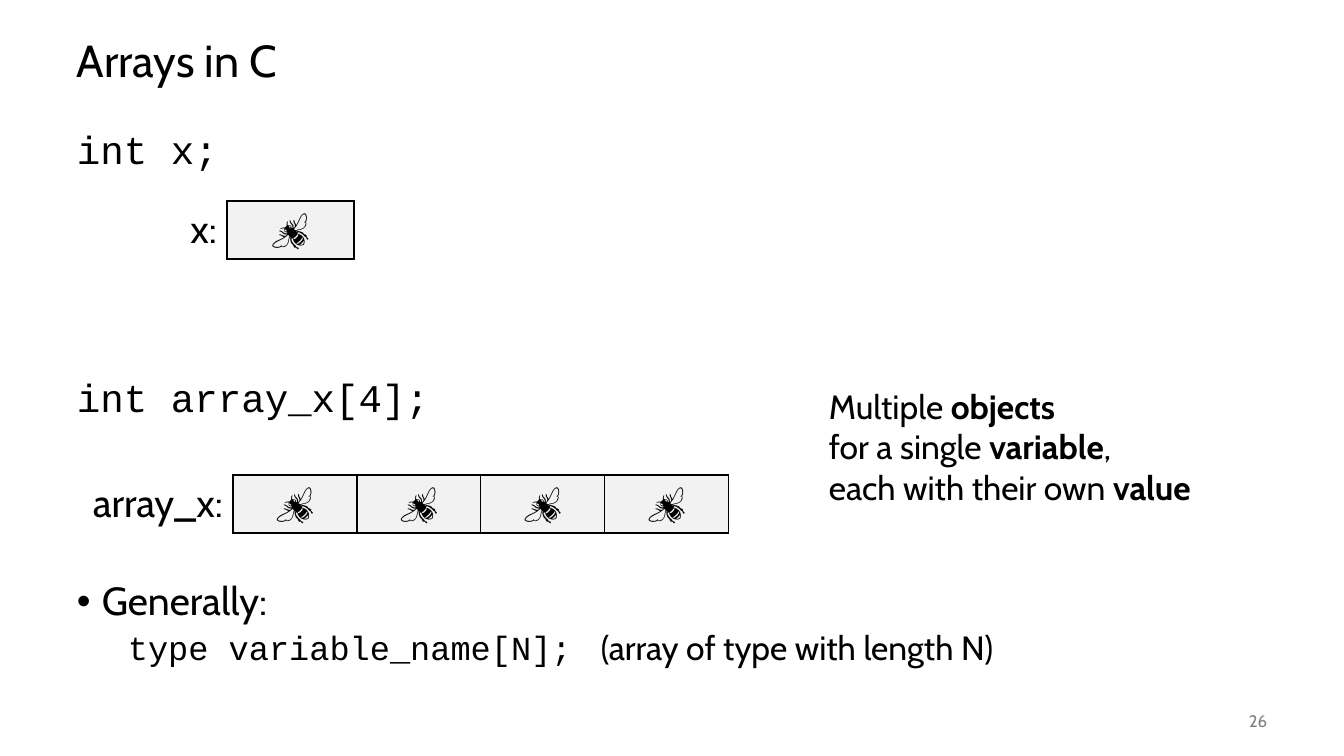
from pptx import Presentation
from pptx.dml.color import RGBColor
from pptx.enum.text import MSO_ANCHOR, PP_ALIGN
from pptx.oxml.ns import qn
from pptx.util import Pt
from lxml.etree import SubElement

COLORS = {"ink": "000000", "cell": "F2F2F2", "page": "808080"}
SANS, MONO = "Cabin", "Courier New"
BEE = "🐝"
PLAIN = "{2D5ABB26-0587-4C30-8999-92F81FD0307C}"

TEXTS = [
    {"box": (67, 25, 1210, 76), "size": 32, "lines": [[("Arrays in C", SANS, False)]],
     "space": 0.9, "anchor": MSO_ANCHOR.MIDDLE},
    {"box": (67, 126, 1210, 52), "size": 28, "lines": [[("int x;", MONO, False)]], "space": 0.9},
    {"box": (67, 374, 740, 52), "size": 28, "lines": [[("int array_x[4];", MONO, False)]],
     "space": 0.9},
    {"box": (67, 577, 1210, 52), "size": 28, "lines": [[("Generally:", SANS, False)]],
     "space": 0.9, "bullet": 25},
    {"box": (118, 627, 1159, 48), "size": 24, "space": 0.9, "tab": 473,
     "lines": [[("type variable_name[N];", MONO, False),
                ("\t(array of type with length N)", SANS, False)]]},
    {"box": (819, 381, 434, 132), "size": 24,
     "lines": [[("Multiple ", SANS, False), ("objects", SANS, True)],
               [("for a single ", SANS, False), ("variable", SANS, True), (",", SANS, False)],
               [("each with their own ", SANS, False), ("value", SANS, True)]]},
    {"box": (1176, 701, 101, 40), "size": 12, "lines": [[("26", SANS, False)]],
     "color": "page", "align": PP_ALIGN.RIGHT, "anchor": MSO_ANCHOR.MIDDLE},
]
TABLES = [
    {"at": (101, 201), "label": "x:", "first": 126, "width": 127, "count": 1},
    {"at": (67, 475), "label": "array_x:", "first": 166, "width": 124, "count": 4},
]
ROW = 58


def px(n):
    return round(n * 914400 / 100.8)


def tint(name):
    return RGBColor.from_string(COLORS[name])


def add_run(para, text, face, size, bold=False, color="ink"):
    run = para.add_run()
    run.text = text
    font = run.font
    font.name, font.size, font.bold = face, Pt(size), bold
    font.color.rgb = tint(color)


def add_text(slide, item):
    frame = slide.shapes.add_textbox(*map(px, item["box"])).text_frame
    frame.word_wrap = True
    frame.vertical_anchor = item.get("anchor", MSO_ANCHOR.TOP)
    para = frame.paragraphs[0]
    para.alignment = item.get("align", PP_ALIGN.LEFT)
    para.line_spacing = item.get("space", 1.0)
    props = para._p.get_or_add_pPr()
    if "bullet" in item:
        props.set("marL", str(px(item["bullet"])))
        props.set("indent", str(-px(item["bullet"])))
        SubElement(props, qn("a:buFont"), typeface="Arial")
        SubElement(props, qn("a:buChar"), char="•")
    if "tab" in item:
        tabs = SubElement(props, qn("a:tabLst"))
        SubElement(tabs, qn("a:tab"), pos=str(px(item["tab"])), algn="l")
    for i, line in enumerate(item["lines"]):
        if i:
            para.add_line_break()
        for text, face, bold in line:
            add_run(para, text, face, item["size"], bold, item.get("color", "ink"))


def add_edges(cell, sides):
    props = cell._tc.get_or_add_tcPr()
    for i, side in enumerate(sides):
        line = props.makeelement(qn(f"a:ln{side}"), {"w": str(Pt(1))})
        fill = SubElement(line, qn("a:solidFill"))
        SubElement(fill, qn("a:srgbClr"), val=COLORS["ink"])
        props.insert(i, line)


def add_boxes(slide, item):
    widths = [item["first"]] + [item["width"]] * item["count"]
    x, y = item["at"]
    frame = slide.shapes.add_table(1, len(widths), px(x), px(y), px(sum(widths)), px(ROW))
    table = frame.table
    table.first_row = table.horz_banding = False
    table._tbl.tblPr.find(qn("a:tableStyleId")).text = PLAIN
    for i, width in enumerate(widths):
        table.columns[i].width = px(width)
        cell = table.cell(0, i)
        para = cell.text_frame.paragraphs[0]
        if i:
            para.alignment = PP_ALIGN.CENTER
            cell.fill.solid()
            cell.fill.fore_color.rgb = tint("cell")
        else:
            para.alignment = PP_ALIGN.RIGHT
            cell.fill.background()
        add_run(para, BEE if i else item["label"], SANS, 28)
        add_edges(cell, "LRTB" if i else "R")


def main():
    deck = Presentation()
    deck.slide_width, deck.slide_height = px(1344), px(756)
    slide = deck.slides.add_slide(deck.slide_layouts[6])
    for item in TEXTS:
        add_text(slide, item)
    for item in TABLES:
        add_boxes(slide, item)
    deck.save("out.pptx")


if __name__ == "__main__":
    main()
